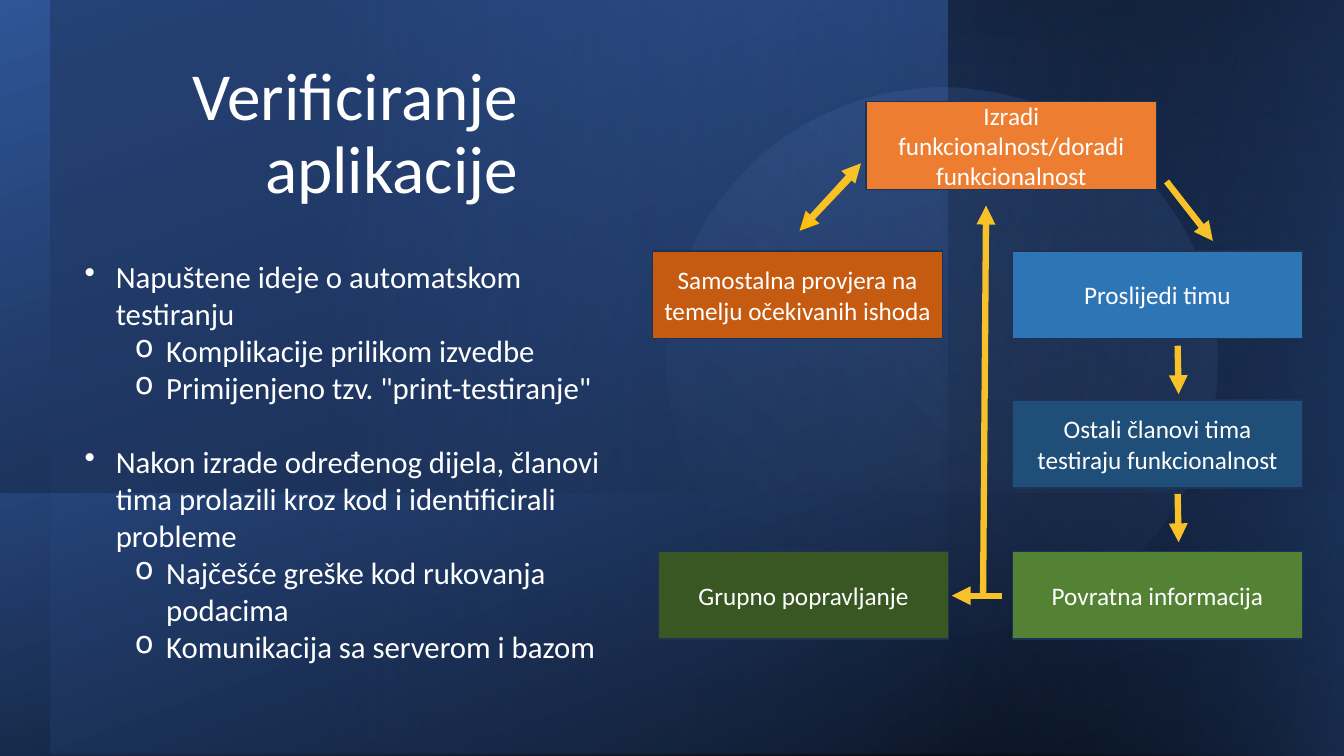
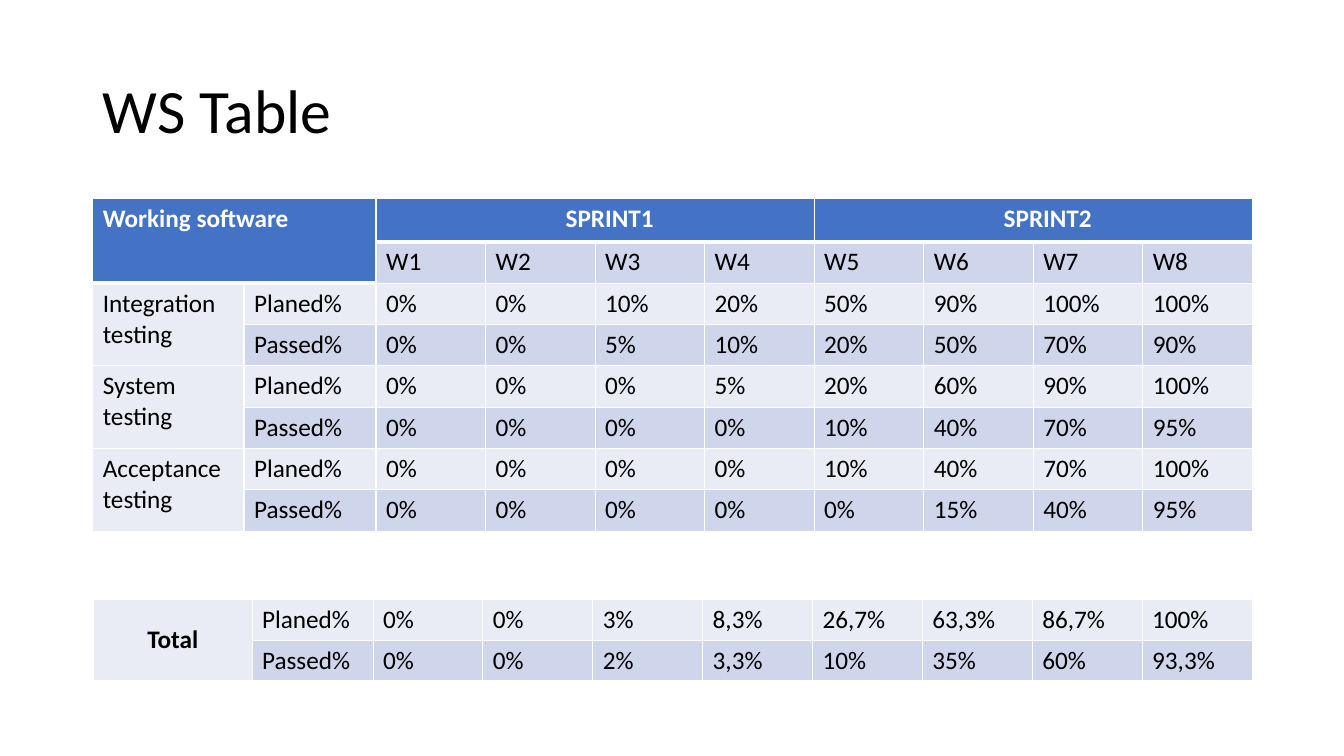
from dataclasses import dataclass

from lxml.etree import SubElement
from pptx import Presentation
from pptx.dml.color import RGBColor
from pptx.enum.shapes import MSO_CONNECTOR, MSO_SHAPE
from pptx.enum.text import MSO_ANCHOR, PP_ALIGN
from pptx.oxml.ns import qn
from pptx.util import Inches, Pt


@dataclass(frozen=True)
class Theme:
    font: str = "Calibri"
    white: str = "FFFFFF"
    black: str = "000000"
    navy: str = "2F5597"
    deep: str = "203864"
    blue: str = "4472C4"
    sky: str = "8FAADC"
    edge: str = "1E3256"
    gold: str = "F7C12A"
    amber: str = "FFC000"
    pale: str = "E9EBF5"
    band: str = "CFD5EA"
    body: int = 22
    small: int = 18
    arrow: float = 4.5


THEME = Theme()
BOX = (2.88, 0.87)

PANELS = [
    (MSO_SHAPE.RECTANGLE, (0, 0, 13.33, 7.5), 0, False, 250,
     [(0, THEME.black, 100), (100, THEME.navy, 100)]),
    (MSO_SHAPE.RECTANGLE, (0.5, 0, 12.85, 7.48), 180, True, 0,
     [(21, THEME.deep, 61), (100, THEME.blue, 0)]),
    (MSO_SHAPE.RECTANGLE, (9.41, 0, 3.95, 7.5), 0, False, 270,
     [(0, THEME.navy, 0), (99, THEME.black, 41)]),
    (MSO_SHAPE.OVAL, (6.63, 0.85, 5.43, 5.46), 254.6, False, 240,
     [(0, THEME.blue, 24), (79, THEME.sky, 0)]),
    (MSO_SHAPE.RECTANGLE, (0.01, 4.9, 13.32, 2.6), 180, True, 290,
     [(0, THEME.navy, 50), (99, THEME.black, 34)]),
    (MSO_SHAPE.RECTANGLE, (7.62, 1.79, 7.5, 3.93), 270, True, 260,
     [(0, THEME.navy, 50), (99, THEME.black, 0)]),
]

POINTS = [
    (0, "Napuštene ideje o automatskom testiranju"),
    (1, "Komplikacije prilikom izvedbe"),
    (1, 'Primijenjeno tzv. "print-testiranje"'),
    (0, "Nakon izrade određenog dijela, članovi tima prolazili kroz kod "
        "i identificirali probleme"),
    (1, "Najčešće greške kod rukovanja podacima"),
    (1, "Komunikacija sa serverom i bazom"),
]

STEPS = [
    (8.59, 1.01, "ED7D31", "Izradi funkcionalnost/doradi funkcionalnost"),
    (6.47, 2.49, "C55A11", "Samostalna provjera na temelju očekivanih ishoda"),
    (10.04, 2.49, "2E75B6", "Proslijedi timu"),
    (10.04, 3.97, "1F4E79", "Ostali članovi tima testiraju funkcionalnost"),
    (10.04, 5.47, "548235", "Povratna informacija"),
    (6.53, 5.47, "385723", "Grupno popravljanje"),
]

ARROWS = [
    ((8.48, 1.71), (7.93, 2.29), THEME.amber),
    ((11.57, 1.8), (12.03, 2.39), THEME.gold),
    ((8, 2.21), (8.54, 1.62), THEME.gold),
    ((11.68, 3.43), (11.69, 3.91), THEME.gold),
    ((11.68, 4.9), (11.69, 5.38), THEME.gold),
    ((9.94, 5.91), (9.44, 5.91), THEME.gold),
    ((9.75, 5.93), (9.78, 2.04), THEME.gold),
]

TESTS = [
    ("Integration testing", "0% 0% 10% 20% 50% 90% 100% 100%",
     "0% 0% 5% 10% 20% 50% 70% 90%"),
    ("System testing", "0% 0% 0% 5% 20% 60% 90% 100%",
     "0% 0% 0% 0% 10% 40% 70% 95%"),
    ("Acceptance testing", "0% 0% 0% 0% 10% 40% 70% 100%",
     "0% 0% 0% 0% 0% 15% 40% 95%"),
]
TOTAL = [("Total", "0% 0% 3% 8,3% 26,7% 63,3% 86,7% 100%",
          "0% 0% 2% 3,3% 10% 35% 60% 93,3%")]


def rgb(code):
    return RGBColor.from_string(code)


def style(para, size, color, bold=False, align=PP_ALIGN.LEFT):
    para.alignment = align
    font = para.font
    font.name, font.size, font.bold = THEME.font, Pt(size), bold
    font.color.rgb = rgb(color)


def text_box(slide, place, anchor=MSO_ANCHOR.TOP):
    frame = slide.shapes.add_textbox(*map(Inches, place)).text_frame
    frame.word_wrap = True
    frame.vertical_anchor = anchor
    return frame


def add_title(slide, text, place, size, color, align, anchor):
    para = text_box(slide, place, anchor).paragraphs[0]
    para.text = text
    para.line_spacing = 0.9
    style(para, size, color, align=align)


def add_panel(slide, kind, place, turn, flip, angle, stops):
    panel = slide.shapes.add_shape(kind, *map(Inches, place))
    panel.shadow.inherit = False
    panel.line.fill.background()
    panel.rotation = turn
    props = panel.element.spPr
    if flip:
        props.find(qn("a:xfrm")).set("flipH", "1")
    panel.fill.gradient()
    panel.fill.gradient_angle = (360 - angle) % 360
    for stop, (spot, color, _) in zip(panel.fill.gradient_stops, stops):
        stop.position = spot / 100
        stop.color.rgb = rgb(color)
    for node, (_, _, alpha) in zip(props.iter(qn("a:srgbClr")), stops):
        SubElement(node, qn("a:alpha")).set("val", str(alpha * 1000))


def add_points(slide, place, points):
    frame = text_box(slide, place)
    for index, (level, text) in enumerate(points):
        para = frame.add_paragraph() if index else frame.paragraphs[0]
        para.text = text
        para.level = level
        if index and level == 0:
            para.space_before = Pt(THEME.body * 1.2)
        props = para._p.get_or_add_pPr()
        props.set("marL", str(Inches(0.31 + 0.5 * level)))
        props.set("indent", str(Inches(-0.31)))
        SubElement(props, qn("a:buChar")).set("char", "•o"[level])
        style(para, THEME.body, THEME.white)


def add_step(slide, left, top, color, text):
    step = slide.shapes.add_shape(
        MSO_SHAPE.RECTANGLE, *map(Inches, (left, top, *BOX)))
    step.shadow.inherit = False
    step.fill.solid()
    step.fill.fore_color.rgb = rgb(color)
    step.line.color.rgb = rgb(THEME.edge)
    step.line.width = Pt(1)
    frame = step.text_frame
    frame.word_wrap = True
    frame.vertical_anchor = MSO_ANCHOR.MIDDLE
    frame.text = text
    style(frame.paragraphs[0], THEME.small, THEME.white,
          align=PP_ALIGN.CENTER)


def add_arrow(slide, start, end, color):
    arrow = slide.shapes.add_connector(
        MSO_CONNECTOR.STRAIGHT, *map(Inches, (*start, *end)))
    arrow.line.color.rgb = rgb(color)
    arrow.line.width = Pt(THEME.arrow)
    props = arrow.element.spPr
    SubElement(props.find(qn("a:ln")), qn("a:tailEnd")).set("type", "triangle")
    SubElement(props, qn("a:effectLst"))


def add_edges(cell, width, base):
    props = cell._tc.get_or_add_tcPr()
    for side in "LRTB":
        line = SubElement(props, qn(f"a:ln{side}"))
        line.set("w", str(Pt(base if side == "B" else width)))
        fill = SubElement(line, qn("a:solidFill"))
        SubElement(fill, qn("a:srgbClr")).set("val", THEME.white)


def test_rows(tests):
    rows = []
    for name, plan, done in tests:
        rows.append([name, "Planed%", *plan.split()])
        rows.append(["", "Passed%", *done.split()])
    return rows


def add_grid(slide, place, lead, heights, rows, spans, edge, head):
    count = len(rows[0])
    frame = slide.shapes.add_table(len(rows), count, *map(Inches, place))
    table = frame.table
    table.first_row = head
    table.horz_banding = False
    rest = (place[2] - sum(lead)) / (count - len(lead))
    widths = [*lead, *[rest] * (count - len(lead))]
    for column, width in zip(table.columns, widths):
        column.width = Inches(width)
    for row, height in zip(table.rows, heights):
        row.height = Inches(height)
    for r, row in enumerate(rows):
        top = head and r == 0
        fill = THEME.blue if top else (THEME.pale, THEME.band)[r % 2]
        for c, text in enumerate(row):
            cell = table.cell(r, c)
            under = top or (head and r == 1 and c < 2)
            add_edges(cell, edge, 3 if under else edge)
            cell.fill.solid()
            cell.fill.fore_color.rgb = rgb(fill)
            cell.text = text
            style(cell.text_frame.paragraphs[0], THEME.small,
                  THEME.white if top else THEME.black, top)
    for r, c, down, across in spans:
        table.cell(r, c).merge(table.cell(r + down - 1, c + across - 1))
    return table


def draw_flow(slide):
    for panel in PANELS[:4]:
        add_panel(slide, *panel)
    add_title(slide, "Verificiranje aplikacije", (0.5, 0.5, 4.74, 1.61), 48,
              THEME.white, PP_ALIGN.RIGHT, MSO_ANCHOR.BOTTOM)
    for panel in PANELS[4:]:
        add_panel(slide, *panel)
    add_points(slide, (0.74, 2.51, 5.41, 4.17), POINTS)
    for step in STEPS:
        add_step(slide, *step)
    for arrow in ARROWS:
        add_arrow(slide, *arrow)


def draw_tests(slide):
    add_title(slide, "WS Table", (0.92, 0.4, 11.5, 1.45), 44,
              THEME.black, PP_ALIGN.LEFT, MSO_ANCHOR.MIDDLE)
    head = ["Working software", "", "SPRINT1", "", "", "",
            "SPRINT2", "", "", ""]
    weeks = ["", "", *[f"W{week}" for week in range(1, 9)]]
    spans = [(0, 0, 2, 2), (0, 2, 1, 4), (0, 6, 1, 4),
             *[(row, 0, 2, 1) for row in (2, 4, 6)]]
    sprints = add_grid(slide, (0.92, 1.97, 11.5, 3.27), (1.5, 1.31),
                       [0.43, *[0.41] * 7], [head, weeks, *test_rows(TESTS)],
                       spans, 1, True)
    for column in (2, 6):
        sprints.cell(0, column).margin_left = Inches(1.88)
    total = add_grid(slide, (0.93, 5.95, 11.49, 0.8), (1.57, 1.2),
                     [0.4] * 2, test_rows(TOTAL), [(0, 0, 2, 1)], 0.75, False)
    label = total.cell(0, 0)
    label.vertical_anchor = MSO_ANCHOR.MIDDLE
    style(label.text_frame.paragraphs[0], THEME.small, THEME.black, True,
          PP_ALIGN.CENTER)


def main():
    deck = Presentation()
    deck.slide_width, deck.slide_height = Inches(13.33), Inches(7.5)
    for draw in (draw_flow, draw_tests):
        draw(deck.slides.add_slide(deck.slide_layouts[6]))
    deck.save("out.pptx")


if __name__ == "__main__":
    main()
